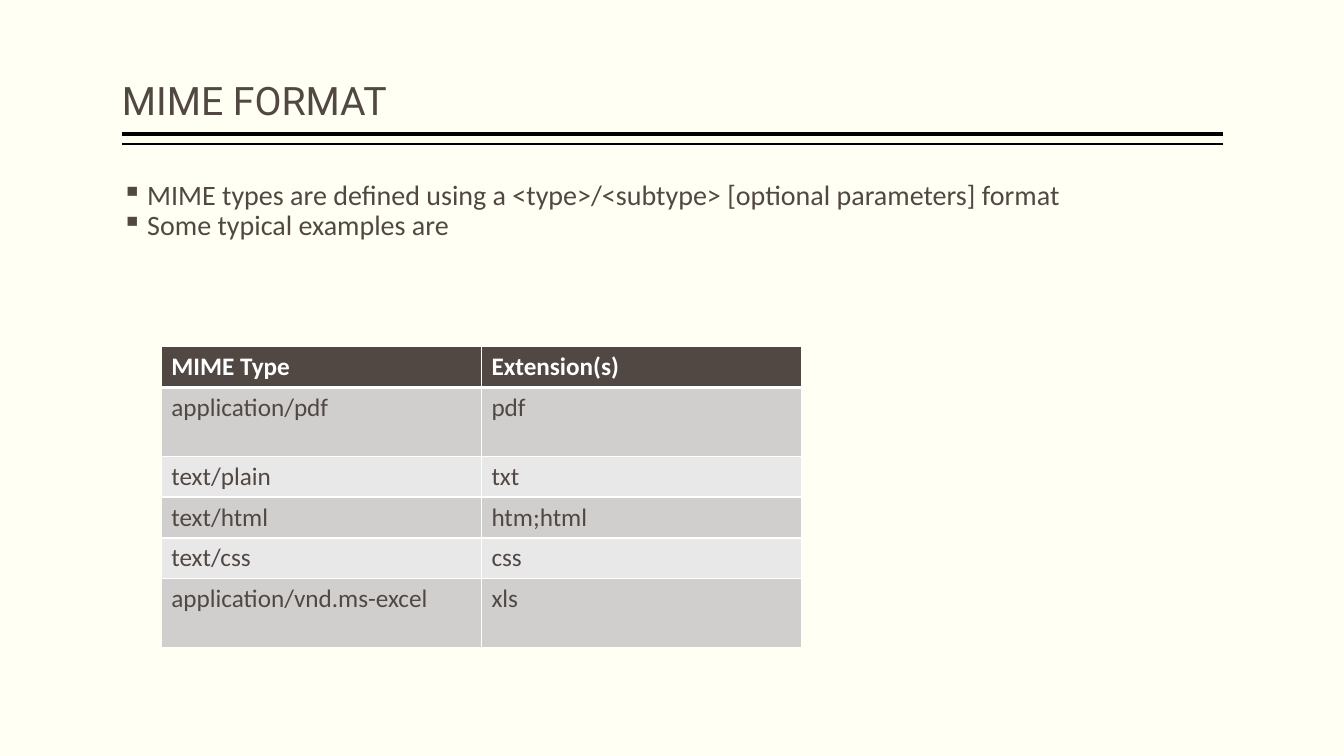
from lxml.etree import SubElement
from pptx import Presentation
from pptx.dml.color import RGBColor
from pptx.enum.shapes import MSO_CONNECTOR
from pptx.enum.text import MSO_ANCHOR, MSO_AUTO_SIZE, PP_ALIGN
from pptx.oxml.ns import qn
from pptx.util import Inches, Pt

COLORS = {"page": "FFFFF3", "ink": "514843", "rule": "000000",
          "white": "FFFFFF", "dark": "D0CFCE", "light": "E9E8E8"}
WIDE, HIGH = 13.33, 7.5
LEFT, SPAN = 1.21, 10.92
POINTS = [
    "MIME types are defined using a <type>/<subtype> [optional parameters] format",
    "Some typical examples are",
]
TYPES = [
    ("MIME Type", "Extension(s)"),
    ("application/pdf", "pdf"),
    ("text/plain", "txt"),
    ("text/html", "htm;html"),
    ("text/css", "css"),
    ("application/vnd.ms-excel", "xls"),
]
ROWS = [0.39, 0.68, 0.39, 0.39, 0.39, 0.68]


def tint(name):
    return RGBColor.from_string(COLORS[name])


def write(para, text, size, color="ink", face="Calibri", bold=False):
    run = para.add_run()
    run.text = text
    font = run.font
    font.name, font.size, font.bold = face, Pt(size), bold
    font.color.rgb = tint(color)


def frame(shape, anchor):
    body = shape.text_frame
    body.word_wrap = True
    body.auto_size = MSO_AUTO_SIZE.NONE
    body.vertical_anchor = anchor
    body.margin_left = body.margin_right = 0
    body.margin_top = body.margin_bottom = Inches(0.05)
    return body


def add_head(slide, left, top, width, height):
    """Place the title with a thick and a thin rule under it."""
    title = slide.shapes.title
    title.left, title.top = Inches(left), Inches(top)
    title.width, title.height = Inches(width), Inches(height)
    para = frame(title, MSO_ANCHOR.BOTTOM).paragraphs[0]
    para.alignment = PP_ALIGN.LEFT
    para.line_spacing = 0.9
    write(para, "MIME FORMAT", 28, face="Roboto")
    for gap, weight in ((0.05, 3), (0.15, 1)):
        y = Inches(top + height + gap)
        rule = slide.shapes.add_connector(
            MSO_CONNECTOR.STRAIGHT, Inches(left + width), y, Inches(left), y)
        rule.line.color.rgb = tint("rule")
        rule.line.width = Pt(weight)
        SubElement(rule._element.spPr, qn("a:effectLst"))


def add_list(slide, left, top, width, height):
    box = slide.shapes.add_textbox(
        Inches(left), Inches(top), Inches(width), Inches(height))
    body = frame(box, MSO_ANCHOR.TOP)
    for i, text in enumerate(POINTS):
        para = body.add_paragraph() if i else body.paragraphs[0]
        para.line_spacing = 0.9
        props = para._p.get_or_add_pPr()
        props.set("marL", str(Inches(0.25)))
        props.set("indent", str(Inches(-0.25)))
        color = SubElement(props, qn("a:buClr"))
        SubElement(color, qn("a:srgbClr"), val=COLORS["ink"])
        SubElement(props, qn("a:buChar"), char="▪")
        write(para, text, 20)


def edge(cell, side, weight):
    props = cell._tc.get_or_add_tcPr()
    line = SubElement(props, qn(f"a:ln{side}"), w=str(Pt(weight)))
    fill = SubElement(line, qn("a:solidFill"))
    SubElement(fill, qn("a:srgbClr"), val=COLORS["white"])


def add_grid(slide, left, top, width):
    grid = slide.shapes.add_table(
        len(TYPES), 2, Inches(left), Inches(top),
        Inches(width), Inches(sum(ROWS))).table
    grid.horz_banding = False
    for r, (pair, height) in enumerate(zip(TYPES, ROWS)):
        grid.rows[r].height = Inches(height)
        head = r == 0
        back = "ink" if head else "dark" if r % 2 else "light"
        for c, text in enumerate(pair):
            cell = grid.cell(r, c)
            for side in "LRTB":
                thick = (r, side) in ((0, "B"), (1, "T"))
                edge(cell, side, 3 if thick else 0.96)
            cell.fill.solid()
            cell.fill.fore_color.rgb = tint(back)
            write(cell.text_frame.paragraphs[0], text, 18,
                  "white" if head else "ink", bold=head)


def main():
    deck = Presentation()
    deck.slide_width, deck.slide_height = Inches(WIDE), Inches(HIGH)
    slide = deck.slides.add_slide(deck.slide_layouts.get_by_name("Title Only"))
    back = slide.background.fill
    back.solid()
    back.fore_color.rgb = tint("page")
    add_head(slide, LEFT, 0.08, SPAN, 1.2)
    add_list(slide, LEFT, 1.75, SPAN, 5)
    add_grid(slide, 1.6, 3.44, 6.35)
    deck.save("out.pptx")


if __name__ == "__main__":
    main()
